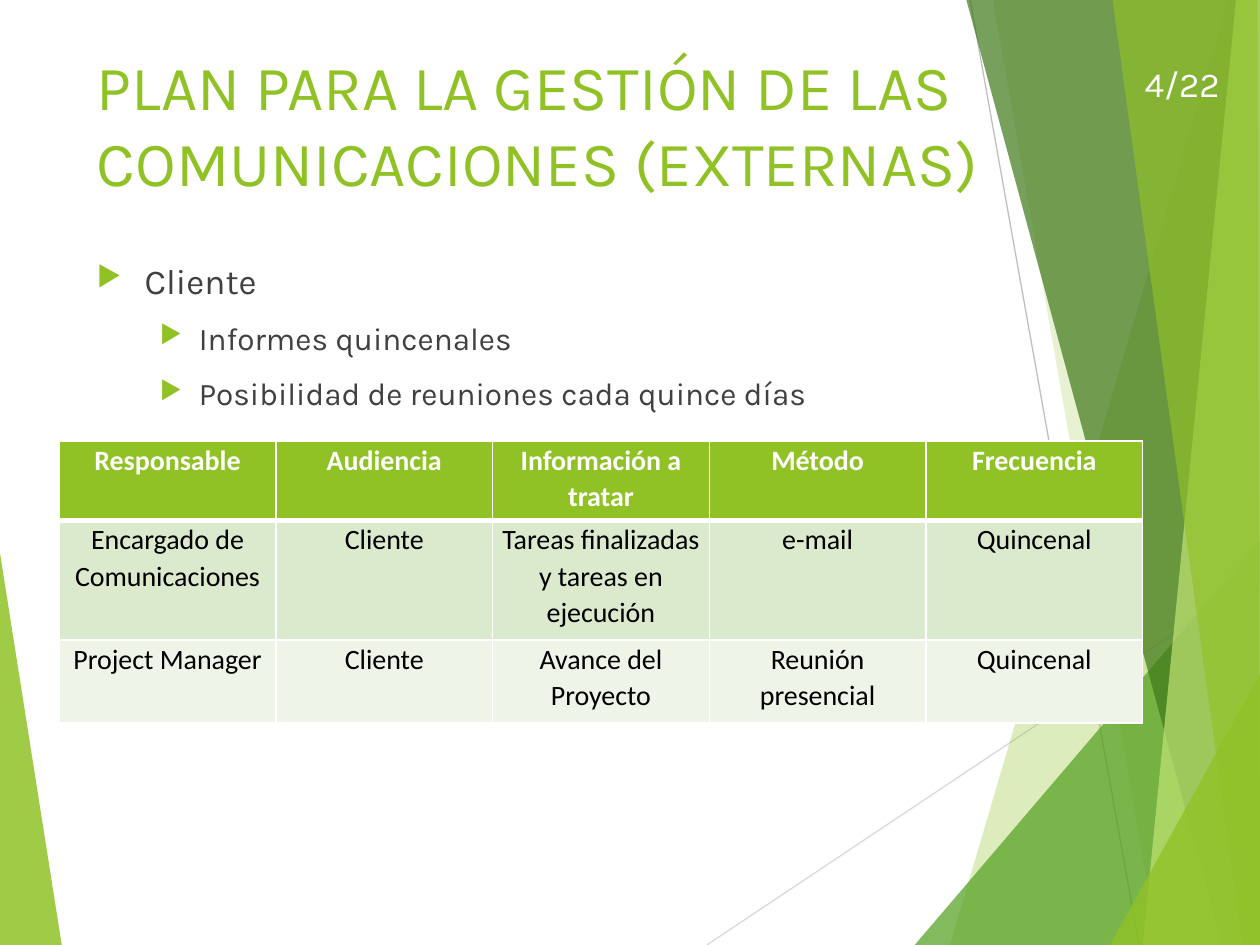
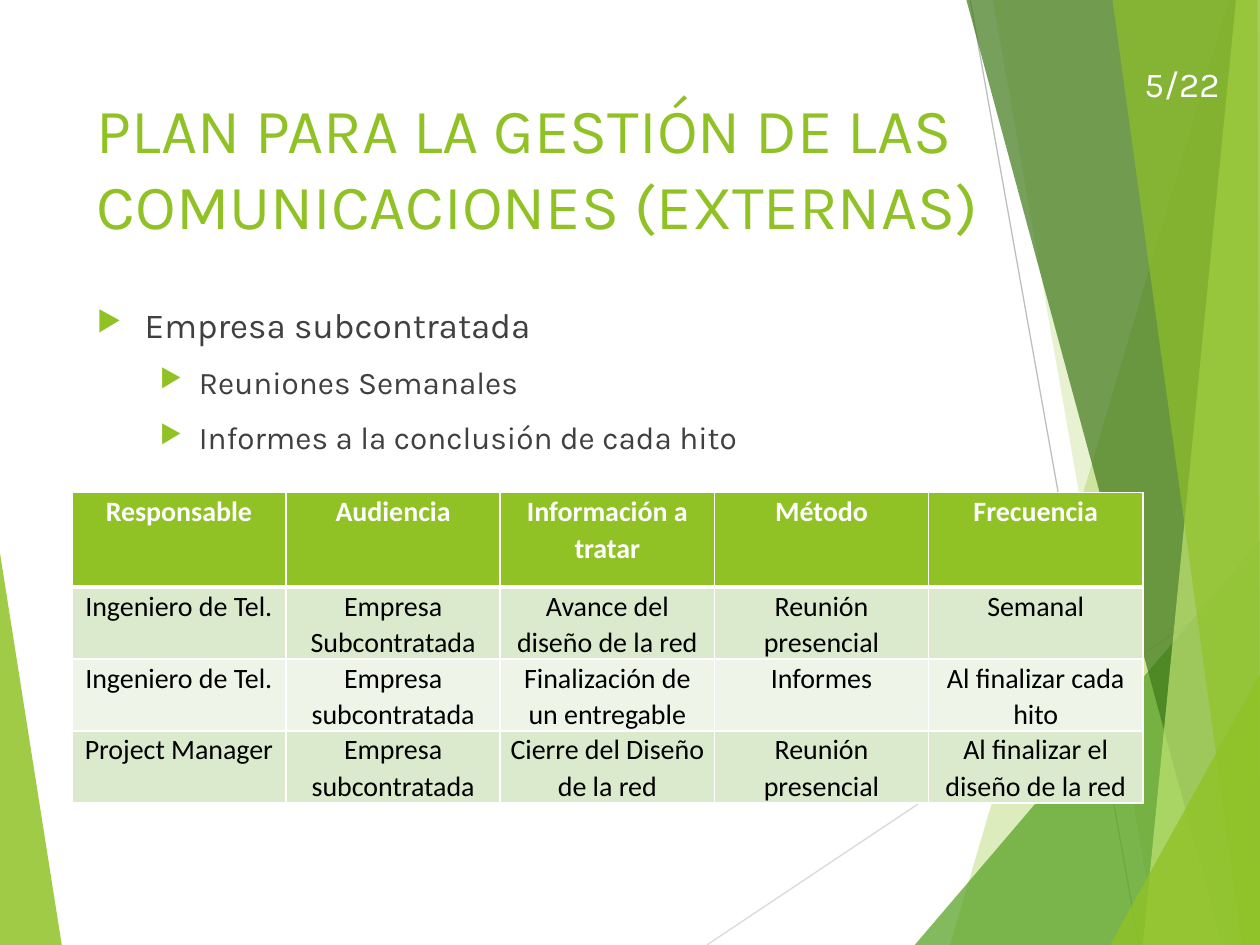
from pptx import Presentation
from pptx.dml.color import RGBColor
from pptx.enum.shapes import MSO_CONNECTOR
from pptx.enum.text import MSO_ANCHOR, PP_ALIGN
from pptx.oxml import parse_xml
from pptx.oxml.ns import nsdecls, qn
from pptx.util import Inches, Pt
from lxml.etree import SubElement

COLORS = {
    "lime": "90C226",
    "green": "54A021",
    "forest": "3F7819",
    "pale_lime": "C0E474",
    "body": "404040",
    "white": "FFFFFF",
    "black": "000000",
    "light_gray": "D9D9D9",
    "gray": "BFBFBF",
    "band_dark": "DBE9CD",
    "band_light": "EEF4E8",
}
FONT = "Karla"
TABLE_FONT = "Calibri"
WIDTH, HEIGHT = 10, 7.5
PAGE_COUNT = 22
TITLE = "PLAN PARA LA GESTIÓN DE LAS COMUNICACIONES (EXTERNAS)"
HEADERS = ["Responsable", "Audiencia", "Información a tratar", "Método", "Frecuencia"]

LEFT_BAND = ([(0, 4.39), (0.49, HEIGHT), (0, HEIGHT)], "lime", 85)
RAYS = [
    ((5.61, HEIGHT), (WIDTH, 4.57), "light_gray"),
    ((7.7, 0), (9.04, HEIGHT), "gray"),
]
# Outline, colour and opacity in percent, from back to front
RIGHT_BANDS = [
    ([(9.75, 0), (7.54, HEIGHT), (WIDTH, HEIGHT), (WIDTH, 0)], "lime", 30),
    ([(7.88, 0), (9.19, HEIGHT), (WIDTH, HEIGHT), (WIDTH, 0)], "lime", 20),
    ([(7.26, HEIGHT), (WIDTH, 4.29), (WIDTH, HEIGHT)], "green", 72),
    ([(7.67, 0), (9.7, HEIGHT), (WIDTH, HEIGHT), (WIDTH, 0)], "forest", 70),
    ([(9.81, 0), (9.07, HEIGHT), (WIDTH, HEIGHT), (WIDTH, 0)], "pale_lime", 70),
    ([(8.83, 0), (9.86, HEIGHT), (WIDTH, HEIGHT), (9.98, 0)], "lime", 65),
    ([(8.81, HEIGHT), (WIDTH, 5.35), (WIDTH, HEIGHT)], "lime", 80),
]


def rgb(name):
    return RGBColor.from_string(COLORS[name])


def add_band(slide, points, color, opacity):
    corners = [(Inches(x), Inches(y)) for x, y in points]
    builder = slide.shapes.build_freeform(*corners[0])
    builder.add_line_segments(corners[1:], close=True)
    shape = builder.convert_to_shape()
    shape.shadow.inherit = False
    shape.line.fill.background()
    shape.fill.solid()
    shape.fill.fore_color.rgb = rgb(color)
    color_element = shape._element.spPr.find(qn("a:solidFill"))[0]
    SubElement(color_element, qn("a:alpha"), val=str(opacity * 1000))


def add_ray(slide, start, end, color):
    ends = [Inches(value) for value in (*start, *end)]
    connector = slide.shapes.add_connector(MSO_CONNECTOR.STRAIGHT, *ends)
    connector.line.color.rgb = rgb(color)
    connector.line.width = Pt(0.75)
    SubElement(connector._element.spPr, qn("a:effectLst"))


def add_backdrop(slide):
    add_band(slide, *LEFT_BAND)
    for ray in RAYS:
        add_ray(slide, *ray)
    for band in RIGHT_BANDS:
        add_band(slide, *band)


def add_run(paragraph, text, size, color, font=FONT, bold=False):
    run = paragraph.add_run()
    run.text = text
    run.font.name = font
    run.font.size = Pt(size)
    run.font.bold = bold
    run.font.color.rgb = rgb(color)


def add_text_frame(slide, left, top, width, height):
    box = slide.shapes.add_textbox(Inches(left), Inches(top), Inches(width), Inches(height))
    box.text_frame.word_wrap = True
    return box.text_frame


def add_title(slide, top, width):
    frame = add_text_frame(slide, 0.67, top, width, 1.44)
    add_run(frame.paragraphs[0], TITLE, 36, "lime")


def add_bullet(paragraph, text, level):
    margin, hanging, size = [(0.38, 0.38, 20), (0.81, 0.31, 18)][level]
    paragraph.level = level
    paragraph.space_before = Pt(10)
    properties = paragraph._p.get_or_add_pPr()
    properties.set("marL", str(Inches(margin)))
    properties.set("indent", str(-Inches(hanging)))
    bullet_color = SubElement(properties, qn("a:buClr"))
    SubElement(bullet_color, qn("a:srgbClr"), val=COLORS["lime"])
    SubElement(properties, qn("a:buSzPct"), val="80000")
    SubElement(properties, qn("a:buChar"), char="▶")
    add_run(paragraph, text, size, "body")


def add_bullets(slide, top, heading, details):
    frame = add_text_frame(slide, 0.67, top, 6.94, 4.24)
    add_bullet(frame.paragraphs[0], heading, 0)
    for detail in details:
        add_bullet(frame.add_paragraph(), detail, 1)


def add_page_number(slide, number):
    frame = add_text_frame(slide, 8.38, 0.09, 1.4, 1.15)
    frame.vertical_anchor = MSO_ANCHOR.MIDDLE
    paragraph = frame.paragraphs[0]
    paragraph.alignment = PP_ALIGN.RIGHT
    add_run(paragraph, f"{number}/{PAGE_COUNT}", 20, "white")


def set_borders(cell, top, bottom):
    """Draw white borders; top and bottom are widths in points."""
    properties = cell._tc.get_or_add_tcPr()
    for side, width in {"L": 1, "R": 1, "T": top, "B": bottom}.items():
        properties.append(parse_xml(
            f'<a:ln{side} {nsdecls("a")} w="{Pt(width)}"><a:solidFill>'
            f'<a:srgbClr val="{COLORS["white"]}"/></a:solidFill></a:ln{side}>'))


def fill_cell(cell, text, row_index):
    is_header = row_index == 0
    set_borders(cell, 3 if row_index == 1 else 1, 3 if is_header else 1)
    band = "band_dark" if row_index % 2 else "band_light"
    cell.fill.solid()
    cell.fill.fore_color.rgb = rgb("lime" if is_header else band)
    cell.margin_left = cell.margin_right = Inches(0.07)
    cell.margin_top = cell.margin_bottom = 0
    paragraph = cell.text_frame.paragraphs[0]
    paragraph.alignment = PP_ALIGN.CENTER
    paragraph.line_spacing = 1.07
    add_run(paragraph, text, 16, "white" if is_header else "black", TABLE_FONT, is_header)


def add_plan_table(slide, left, top, column_width, row_heights, rows):
    width = column_width * len(HEADERS)
    table = slide.shapes.add_table(
        len(row_heights), len(HEADERS), Inches(left), Inches(top),
        Inches(width), Inches(sum(row_heights))).table
    table.horz_banding = False
    for column in table.columns:
        column.width = Inches(column_width)
    for row_index, texts in enumerate([HEADERS, *rows]):
        table.rows[row_index].height = Inches(row_heights[row_index])
        for column_index, text in enumerate(texts):
            fill_cell(table.cell(row_index, column_index), text, row_index)


def add_plan_slide(presentation, number, title_top, title_width):
    slide = presentation.slides.add_slide(presentation.slide_layouts[6])
    add_backdrop(slide)
    add_title(slide, title_top, title_width)
    add_page_number(slide, number)
    return slide


def main():
    presentation = Presentation()
    presentation.slide_width = Inches(WIDTH)
    presentation.slide_height = Inches(HEIGHT)

    client_slide = add_plan_slide(presentation, 4, 0.33, 7.36)
    add_bullets(client_slide, 2.01, "Cliente", [
        "Informes quincenales", "Posibilidad de reuniones cada quince días"])
    add_plan_table(client_slide, 0.47, 3.5, 1.72, [0.63, 0.95, 0.66], [
        ["Encargado de Comunicaciones", "Cliente",
         "Tareas finalizadas y tareas en ejecución", "e-mail", "Quincenal"],
        ["Project Manager", "Cliente", "Avance del Proyecto",
         "Reunión presencial", "Quincenal"],
    ])

    contractor_slide = add_plan_slide(presentation, 5, 0.67, 7.6)
    add_bullets(contractor_slide, 2.36, "Empresa subcontratada", [
        "Reuniones Semanales", "Informes a la conclusión de cada hito"])
    add_plan_table(contractor_slide, 0.57, 3.91, 1.7, [0.75, 0.57, 0.57, 0.57], [
        ["Ingeniero de Tel.", "Empresa Subcontratada",
         "Avance del diseño de la red", "Reunión presencial", "Semanal"],
        ["Ingeniero de Tel.", "Empresa subcontratada",
         "Finalización de un entregable", "Informes", "Al finalizar cada hito"],
        ["Project Manager", "Empresa subcontratada", "Cierre del Diseño de la red",
         "Reunión presencial", "Al finalizar el diseño de la red"],
    ])

    presentation.save("out.pptx")


if __name__ == "__main__":
    main()
